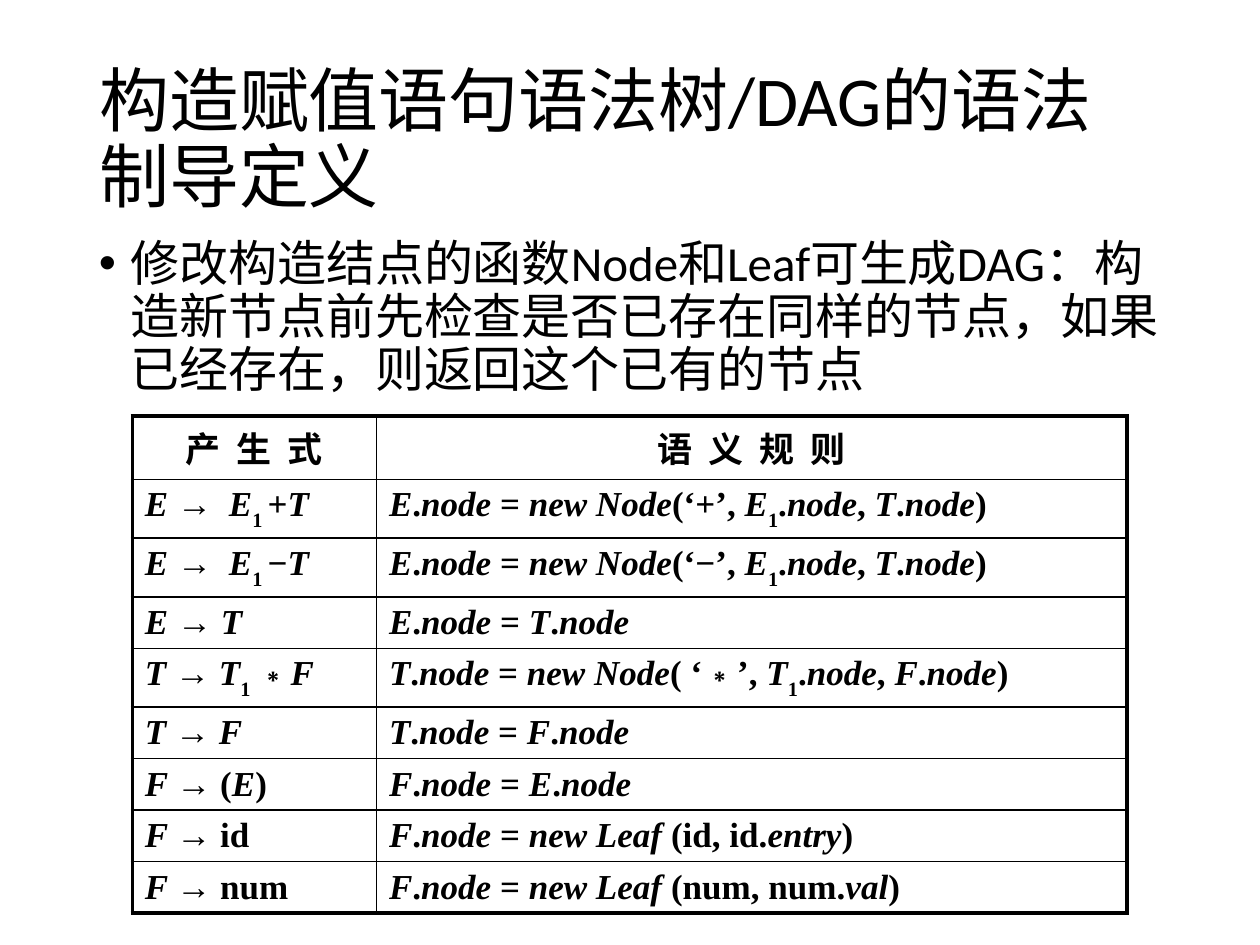
from dataclasses import dataclass

from lxml.etree import SubElement
from pptx import Presentation
from pptx.dml.color import RGBColor
from pptx.enum.lang import MSO_LANGUAGE_ID
from pptx.enum.text import MSO_ANCHOR, MSO_AUTO_SIZE, PP_ALIGN
from pptx.oxml.ns import qn
from pptx.util import Pt


@dataclass(frozen=True)
class Theme:
    ink: str = "000000"
    text_font: str = "Calibri"
    chinese_font: str = "Noto Sans CJK SC"
    formula_font: str = "Times New Roman"
    title_size: float = 40
    body_size: float = 28
    table_size: float = 20
    line_spacing: float = 0.9
    letter_gap: float = 2.3
    outer_line: float = 2.25
    inner_line: float = 1


TITLE = "构造赋值语句语法树/DAG的语法制导定义"
BODY = ("修改构造结点的函数Node和Leaf可生成DAG：构造新节点前先检查是否已存在同样的节点，"
        "如果已经存在，则返回这个已有的节点")
HEADINGS = ("产 生 式", "语 义 规 则")

# Parts between bars alternate italic and upright; text before ^ is a subscript.
RULES = [
    ("E |→ |E|1 ^+|T", "E|.|node| = |new Node|(‘+’, |E|1^.|node|, |T|.|node|)"),
    ("E |→ |E|1 ^−|T", "E|.|node| = |new Node|(‘−’, |E|1^.|node|, |T|.|node|)"),
    ("E |→ |T", "E|.|node| = |T|.|node"),
    ("T |→ |T|1 ^∗|F", "T|.|node| = |new Node|( ‘∗’, |T|1^.|node|, |F|.|node|)"),
    ("T |→ |F", "T|.|node| = |F|.|node"),
    ("F |→ (|E|)", "F|.|node| = |E|.|node"),
    ("F |→ id", "F|.|node| = |new Leaf |(id, id.|entry|)"),
    ("F |→ num", "F|.|node| = |new Leaf |(num, num.|val|)"),
]


class SlideBuilder:
    def __init__(self, page, theme):
        self.page = page
        self.theme = theme

    def span(self, para, text, font, size, gap=0, subscript=False, **styles):
        """Add a run; gap is extra letter spacing in points."""
        run = para.add_run()
        run.text = text
        formats = {"name": font, "size": Pt(size), **styles}
        for name, value in formats.items():
            setattr(run.font, name, value)
        run.font.color.rgb = RGBColor.from_string(self.theme.ink)
        properties = run.font._element
        if gap:
            properties.set("spc", str(round(gap * 100)))
        if subscript:
            properties.set("baseline", "-30000")
        return run

    def chinese_span(self, para, text, font, size, **styles):
        run = self.span(para, text, font, size,
                        language_id=MSO_LANGUAGE_ID.SIMPLIFIED_CHINESE, **styles)
        east_asian = SubElement(run.font._element, qn("a:ea"))
        east_asian.set("typeface", self.theme.chinese_font)

    def formula(self, para, markup):
        theme = self.theme
        for index, part in enumerate(markup.split("|")):
            subscript, _, text = part.rpartition("^")
            if subscript:
                self.span(para, subscript, theme.formula_font, theme.table_size,
                          subscript=True, bold=True, italic=False)
            # The arrow stands wider apart where a subscript follows.
            wide = text == "→ " and "1 ^" in markup and "∗" not in markup
            self.span(para, text, theme.formula_font, theme.table_size,
                      gap=theme.letter_gap if wide else 0,
                      bold=True, italic=index % 2 == 0)

    def paragraph(self, box, text, size, left, top, width, height, anchor):
        """Place a box and fill its only paragraph."""
        place = {"left": left, "top": top, "width": width, "height": height}
        for name, value in place.items():
            setattr(box, name, Pt(value))
        frame = box.text_frame
        settings = {"word_wrap": True, "auto_size": MSO_AUTO_SIZE.NONE,
                    "vertical_anchor": anchor}
        for name, value in settings.items():
            setattr(frame, name, value)
        para = frame.paragraphs[0]
        para.alignment = PP_ALIGN.LEFT
        para.line_spacing = self.theme.line_spacing
        self.chinese_span(para, text, self.theme.text_font, size)
        return para

    def title(self, text, *place):
        self.paragraph(self.page.shapes.title, text, self.theme.title_size,
                       *place, MSO_ANCHOR.MIDDLE)

    def bullet(self, text, left, top, width, height, indent):
        box = self.page.shapes.add_textbox(Pt(left), Pt(top), Pt(width), Pt(height))
        para = self.paragraph(box, text, self.theme.body_size,
                              left, top, width, height, MSO_ANCHOR.TOP)
        para.space_before = Pt(10)
        properties = para._p.get_or_add_pPr()
        properties.set("marL", str(Pt(indent)))
        properties.set("indent", str(-Pt(indent)))
        SubElement(properties, qn("a:buFont")).set("typeface", "Arial")
        SubElement(properties, qn("a:buChar")).set("char", "•")

    def borders(self, cell, outer_edges):
        """Draw all four edges, thick on those that bound the table."""
        properties = cell._tc.get_or_add_tcPr()
        for position, (edge, outer) in enumerate(outer_edges.items()):
            weight = self.theme.outer_line if outer else self.theme.inner_line
            line = properties.makeelement(qn(f"a:ln{edge}"), {"w": str(Pt(weight))})
            fill = SubElement(line, qn("a:solidFill"))
            SubElement(fill, qn("a:srgbClr")).set("val", self.theme.ink)
            properties.insert(position, line)

    def table(self, headings, rules, left, top, widths, row_height):
        rows = [headings, *rules]
        table = self.page.shapes.add_table(
            len(rows), len(widths), Pt(left), Pt(top),
            Pt(sum(widths)), Pt(row_height * len(rows))).table
        table.first_row = table.horz_banding = False
        for column, width in zip(table.columns, widths):
            column.width = Pt(width)
        last_row, last_column = len(rows) - 1, len(widths) - 1
        for r, row in enumerate(rows):
            for c, text in enumerate(row):
                cell = table.cell(r, c)
                cell.fill.background()
                self.borders(cell, {"L": c == 0, "R": c == last_column,
                                    "T": r == 0, "B": r == last_row})
                para = cell.text_frame.paragraphs[0]
                if r == 0:
                    para.alignment = PP_ALIGN.CENTER
                    self.chinese_span(para, text, self.theme.chinese_font,
                                      self.theme.table_size,
                                      gap=self.theme.letter_gap, bold=True)
                else:
                    self.formula(para, text)


def main():
    deck = Presentation()
    deck.slide_width, deck.slide_height = Pt(720), Pt(540)
    page = deck.slides.add_slide(deck.slide_layouts[5])
    builder = SlideBuilder(page, Theme())
    builder.title(TITLE, 49.5, 28.75, 621, 104.4)
    builder.bullet(BODY, 49.5, 133, 621, 353.5, indent=18)
    builder.table(HEADINGS, RULES, 75.6, 237.6, widths=(139.5, 429), row_height=28.8)
    deck.save("out.pptx")


if __name__ == "__main__":
    main()
